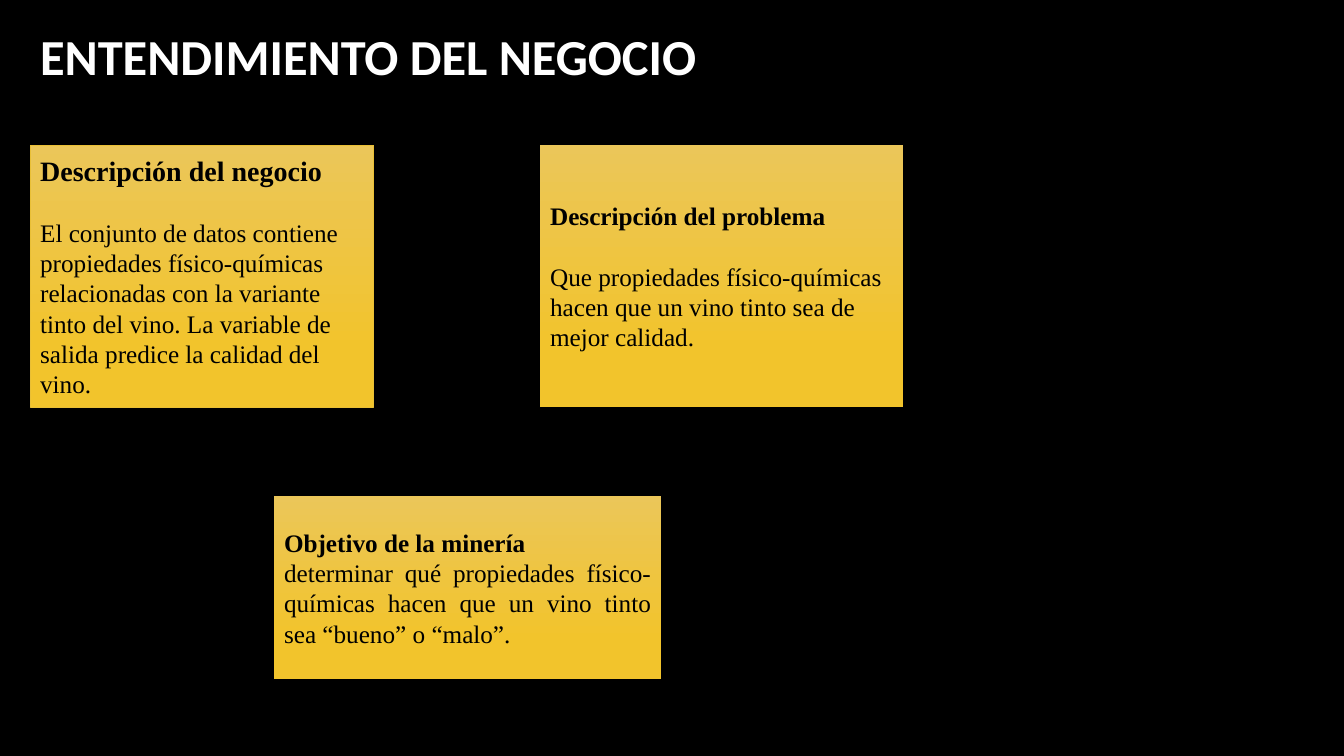
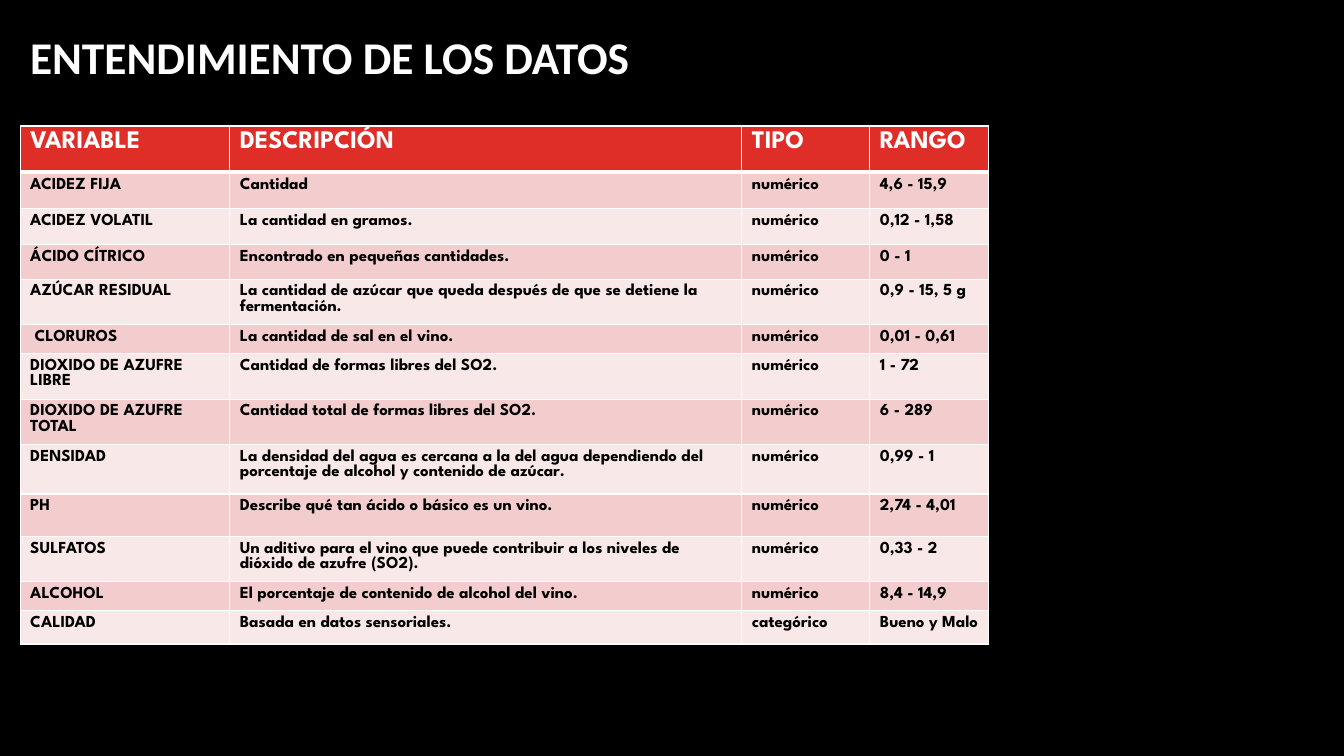
from lxml import etree
from pptx import Presentation
from pptx.dml.color import RGBColor
from pptx.enum.shapes import MSO_SHAPE
from pptx.enum.text import MSO_ANCHOR, PP_ALIGN
from pptx.oxml.ns import qn
from pptx.util import Inches, Pt

RECTANGLE = MSO_SHAPE.RECTANGLE
MIDDLE = MSO_ANCHOR.MIDDLE
LEFT, JUSTIFY = PP_ALIGN.LEFT, PP_ALIGN.JUSTIFY

BLACK = RGBColor(0x00, 0x00, 0x00)
WHITE = RGBColor(0xFF, 0xFF, 0xFF)
GOLD_LIGHT = RGBColor(0xEB, 0xC6, 0x59)
GOLD = RGBColor(0xF2, 0xC4, 0x2C)
GOLD_EDGE = RGBColor(0xE9, 0xBF, 0x35)
RED = RGBColor(0xDF, 0x2E, 0x28)
PINK = RGBColor(0xF3, 0xCD, 0xCD)
PINK_LIGHT = RGBColor(0xF9, 0xE8, 0xE8)

TITLE_FONT, CARD_FONT, TABLE_FONT = "Calibri", "Times New Roman", "League Spartan"
TITLE_TOP, TITLE_HEIGHT = 0.19, 0.8

CARDS = [
    dict(at=(0.3, 1.44, 3.41, 2.6), heading="Descripción del negocio",
         body="El conjunto de datos contiene propiedades físico-químicas "
              "relacionadas con la variante tinto del vino. La variable de "
              "salida predice la calidad del vino.",
         heading_size=20, gap=21.5, align=LEFT, edge=GOLD_EDGE),
    dict(at=(2.72, 4.92, 3.84, 1.82), heading="Objetivo de la minería",
         body="determinar qué propiedades físico-químicas hacen que un vino "
              "tinto sea “bueno” o “malo”.",
         heading_size=18, gap=0, align=JUSTIFY, edge=None),
    dict(at=(5.36, 1.44, 3.6, 2.6), heading="Descripción del problema",
         body="Que propiedades físico-químicas hacen que un vino tinto sea "
              "de mejor calidad.",
         heading_size=18, gap=21.5, align=LEFT, edge=None),
]

HEADER = ("VARIABLE", "DESCRIPCIÓN", "TIPO", "RANGO")
VARIABLES = [
    ("ACIDEZ FIJA", "Cantidad", "numérico", "4,6 - 15,9"),
    ("ACIDEZ VOLATIL", "La cantidad en gramos.", "numérico", "0,12 - 1,58"),
    ("ÁCIDO CÍTRICO", "Encontrado en pequeñas cantidades.", "numérico", "0 - 1"),
    ("AZÚCAR RESIDUAL",
     "La cantidad de azúcar que queda después de que se detiene la fermentación.",
     "numérico", "0,9 - 15, 5 g"),
    (" CLORUROS", "La cantidad de sal en el vino.", "numérico", "0,01 - 0,61"),
    ("DIOXIDO DE AZUFRE LIBRE", "Cantidad de formas libres del SO2.",
     "numérico", "1 - 72"),
    ("DIOXIDO DE AZUFRE TOTAL", "Cantidad total de formas libres del SO2.",
     "numérico", "6 - 289"),
    ("DENSIDAD",
     "La densidad del agua es cercana a la del agua dependiendo del "
     "porcentaje de alcohol y contenido de azúcar.", "numérico", "0,99 - 1"),
    ("PH", "Describe qué tan ácido o básico es un vino.", "numérico", "2,74 - 4,01"),
    ("SULFATOS",
     "Un aditivo para el vino que puede contribuir a los niveles de "
     "dióxido de azufre (SO2).", "numérico", "0,33 - 2"),
    ("ALCOHOL", "El porcentaje de contenido de alcohol del vino.",
     "numérico", "8,4 - 14,9"),
    ("CALIDAD", "Basada en datos sensoriales.", "categórico", "Bueno y Malo"),
]
COLUMN_WIDTHS = (2.08, 5.08, 1.27, 1.18)
ROW_HEIGHTS = (0.46, 0.36, 0.36, 0.34, 0.41, 0.29, 0.41, 0.41, 0.49, 0.42,
               0.45, 0.29, 0.33)
TABLE_LEFT, TABLE_TOP = 0.2, 1.25


def set_font(text, name, size, color, bold):
    font = text.font
    font.name, font.size, font.bold = name, Pt(size), bold
    font.color.rgb = color


def add_titled_slide(prs, title, left, width, size):
    slide = prs.slides.add_slide(prs.slide_layouts[6])
    slide.background.fill.solid()
    slide.background.fill.fore_color.rgb = BLACK
    frame = slide.shapes.add_textbox(
        *map(Inches, (left, TITLE_TOP, width, TITLE_HEIGHT))).text_frame
    frame.word_wrap = True
    frame.vertical_anchor = MIDDLE
    heading = frame.paragraphs[0]
    heading.text = title
    heading.line_spacing = 0.9
    set_font(heading, TITLE_FONT, size, WHITE, True)
    return slide


def add_card(slide, card):
    box = slide.shapes.add_shape(RECTANGLE, *map(Inches, card["at"]))
    box.shadow.inherit = False
    box.fill.gradient()
    box.fill.gradient_angle = 270
    for stop, position, color in zip(box.fill.gradient_stops, (0, 0.78),
                                     (GOLD_LIGHT, GOLD)):
        stop.position = position
        stop.color.rgb = color
    if card["edge"] is None:
        box.line.fill.background()
    else:
        box.line.color.rgb = card["edge"]
        box.line.width = Pt(0.75)
    frame = box.text_frame
    frame.word_wrap = True
    frame.vertical_anchor = MIDDLE
    heading, body = frame.paragraphs[0], frame.add_paragraph()
    heading.text, body.text = card["heading"], card["body"]
    heading.alignment = body.alignment = card["align"]
    body.space_before = Pt(card["gap"])
    set_font(heading, CARD_FONT, card["heading_size"], BLACK, True)
    set_font(body, CARD_FONT, 18, BLACK, False)


def add_borders(cell, bottom):
    properties = cell._tc.get_or_add_tcPr()
    for index, (side, points) in enumerate(
            (("L", 1), ("R", 1), ("T", 1), ("B", bottom))):
        border = etree.Element(qn(f"a:ln{side}"), w=str(Pt(points)))
        fill = etree.SubElement(border, qn("a:solidFill"))
        etree.SubElement(fill, qn("a:srgbClr"), val=str(WHITE))
        properties.insert(index, border)


def add_variable_table(slide):
    rows = [HEADER, *VARIABLES]
    table = slide.shapes.add_table(
        len(rows), len(HEADER),
        *map(Inches, (TABLE_LEFT, TABLE_TOP, sum(COLUMN_WIDTHS),
                      sum(ROW_HEIGHTS)))).table
    for column, width in zip(table.columns, COLUMN_WIDTHS):
        column.width = Inches(width)
    for r, (values, height) in enumerate(zip(rows, ROW_HEIGHTS)):
        table.rows[r].height = Inches(height)
        if r == 0:
            fill, color, size, bottom = RED, WHITE, 18, 3
        else:
            fill, color, size, bottom = (PINK if r % 2 else PINK_LIGHT), BLACK, 12, 1
        for c, value in enumerate(values):
            cell = table.cell(r, c)
            cell.text = value
            cell.margin_bottom = 0
            cell.fill.solid()
            cell.fill.fore_color.rgb = fill
            set_font(cell.text_frame.paragraphs[0].runs[0], TABLE_FONT, size,
                     color, True)
            add_borders(cell, bottom)


def main():
    prs = Presentation()
    prs.slide_width, prs.slide_height = Pt(960), Pt(540)
    business = add_titled_slide(prs, "ENTENDIMIENTO DEL NEGOCIO", 0.3, 7.16, 36)
    for card in CARDS:
        add_card(business, card)
    data = add_titled_slide(prs, "ENTENDIMIENTO DE LOS DATOS", 0.2, 6.77, 32.4)
    add_variable_table(data)
    prs.save("out.pptx")


if __name__ == "__main__":
    main()
